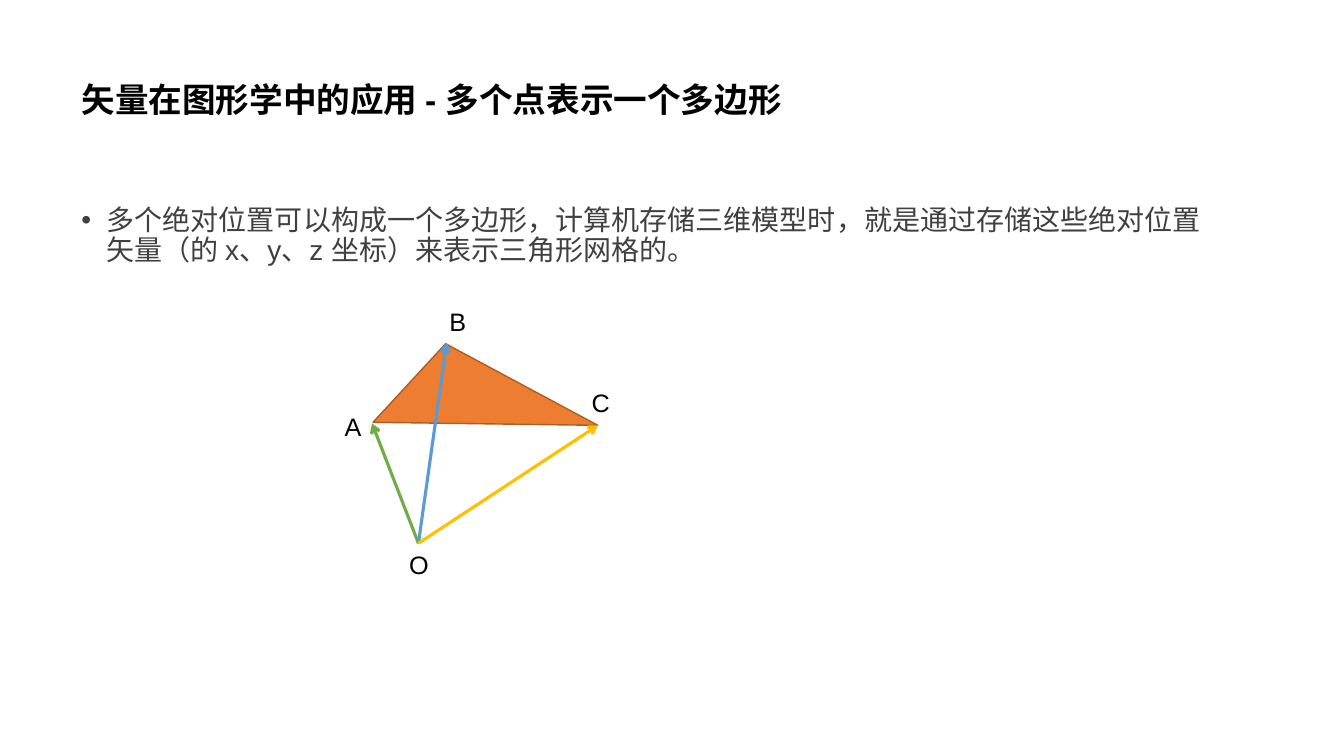
import lxml.etree
import pptx
import pptx.dml.color
import pptx.enum.shapes
import pptx.enum.text
import pptx.oxml.ns
import pptx.util

PX = 9144  # 100 px to the inch
FONT = "Arial"
BLACK = "000000"


def px(length):
    return pptx.util.Emu(length * PX)


def color(value):
    return pptx.dml.color.RGBColor.from_string(value)


def add_child(parent, tag, **attributes):
    return lxml.etree.SubElement(parent, pptx.oxml.ns.qn(tag), attributes)


def add_text(page, bounds, text, size, fill=BLACK, bold=False):
    box = page.shapes.add_textbox(*map(px, bounds))
    box.text_frame.word_wrap = True
    para = box.text_frame.paragraphs[0]
    para.text = text
    para.font.name = FONT
    para.font.size = pptx.util.Pt(size)
    para.font.bold = bold
    para.font.color.rgb = color(fill)
    return box.text_frame


def add_title(page, text):
    frame = add_text(page, (71, 28, 1150, 145), text, 24, bold=True)
    frame.vertical_anchor = pptx.enum.text.MSO_ANCHOR.MIDDLE
    frame.paragraphs[0].line_spacing = 0.9


def add_bullet(page, text):
    frame = add_text(page, (71, 200, 1150, 476), text, 20, "404040")
    para = frame.paragraphs[0]
    para.line_spacing = 0.9
    properties = para._p.get_or_add_pPr()
    properties.set("marL", str(px(25)))
    properties.set("indent", str(px(-25)))
    bullet_font = lxml.etree.Element(pptx.oxml.ns.qn("a:buFont"), typeface=FONT)
    bullet = lxml.etree.Element(pptx.oxml.ns.qn("a:buChar"), char="•")
    spacing = properties.find(pptx.oxml.ns.qn("a:lnSpc"))
    spacing.addnext(bullet_font)
    bullet_font.addnext(bullet)


def add_label(page, bounds, text):
    frame = add_text(page, bounds, text, 18)
    frame.word_wrap = False
    frame.auto_size = pptx.enum.text.MSO_AUTO_SIZE.SHAPE_TO_FIT_TEXT


def add_polygon(page, points, fill, outline):
    builder = page.shapes.build_freeform(*points[0], scale=PX)
    builder.add_line_segments(points[1:], close=True)
    polygon = builder.convert_to_shape()
    polygon.shadow.inherit = False
    polygon.fill.solid()
    polygon.fill.fore_color.rgb = color(fill)
    polygon.line.color.rgb = color(outline)
    polygon.line.width = pptx.util.Pt(1)


def add_arrow(page, start, end, stroke):
    arrow = page.shapes.add_connector(
        pptx.enum.shapes.MSO_CONNECTOR.STRAIGHT, *map(px, start + end))
    arrow.line.color.rgb = color(stroke)
    arrow.line.width = pptx.util.Pt(2.25)
    properties = arrow._element.spPr
    add_child(properties.find(pptx.oxml.ns.qn("a:ln")), "a:tailEnd", type="arrow")
    add_child(properties, "a:effectLst")


def main():
    deck = pptx.Presentation()
    deck.slide_width, deck.slide_height = px(1333), px(750)
    page = deck.slides.add_slide(deck.slide_layouts[6])

    add_polygon(page, [(370, 419), (442, 341), (593, 422)], "ED7D31", "AF5C24")
    add_title(page, "矢量在图形学中的应用 - 多个点表示一个多边形")
    add_bullet(page, "多个绝对位置可以构成一个多边形，计算机存储三维模型时，"
                     "就是通过存储这些绝对位置矢量（的 x、y、z 坐标）来表示三角形网格的。")

    origin = (415, 539)
    add_label(page, (396, 540, 39, 40), "O")
    vectors = [
        ("A", (369, 420), "70AD47", (332, 403, 37, 40)),
        ("B", (443, 340), "5B9BD5", (436, 299, 37, 40)),
        ("C", (593, 422), "FFC000", (577, 379, 38, 40)),
    ]
    for name, tip, stroke, label_bounds in vectors:
        add_arrow(page, origin, tip, stroke)
        add_label(page, label_bounds, name)

    deck.save("out.pptx")


if __name__ == "__main__":
    main()
